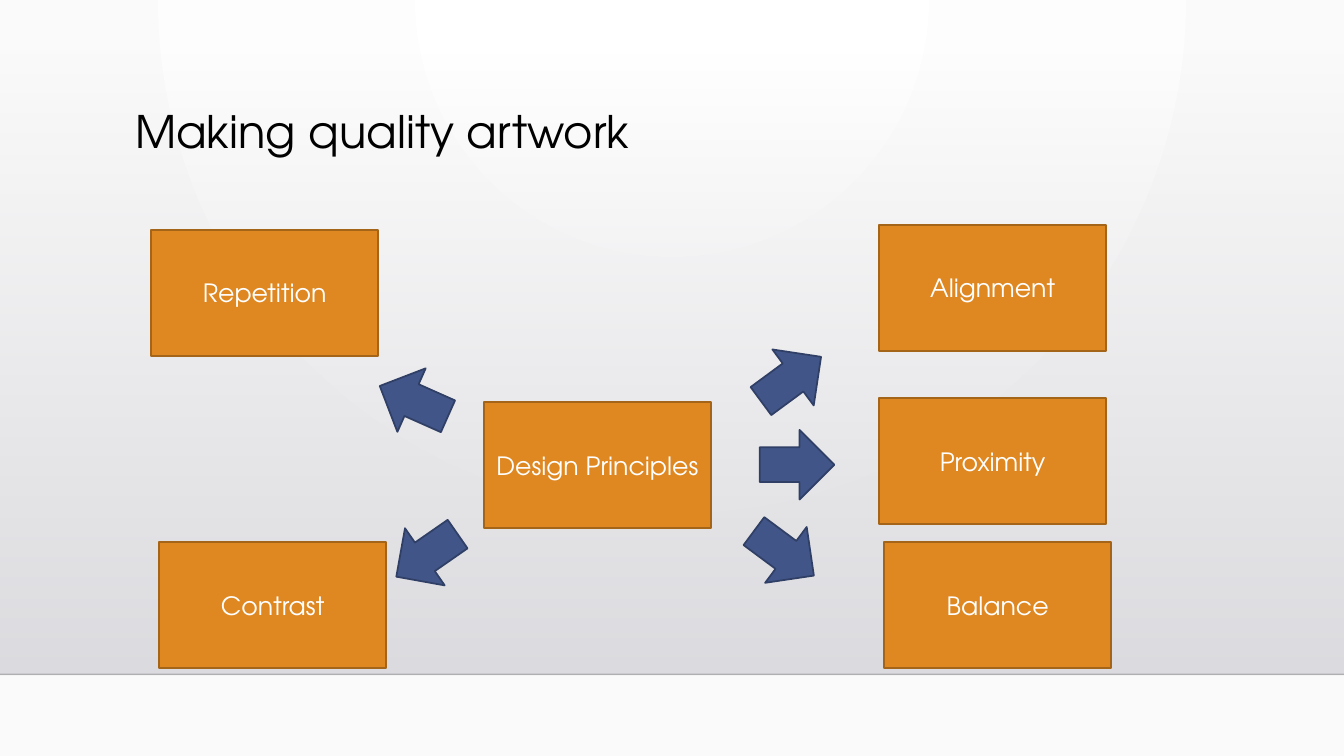
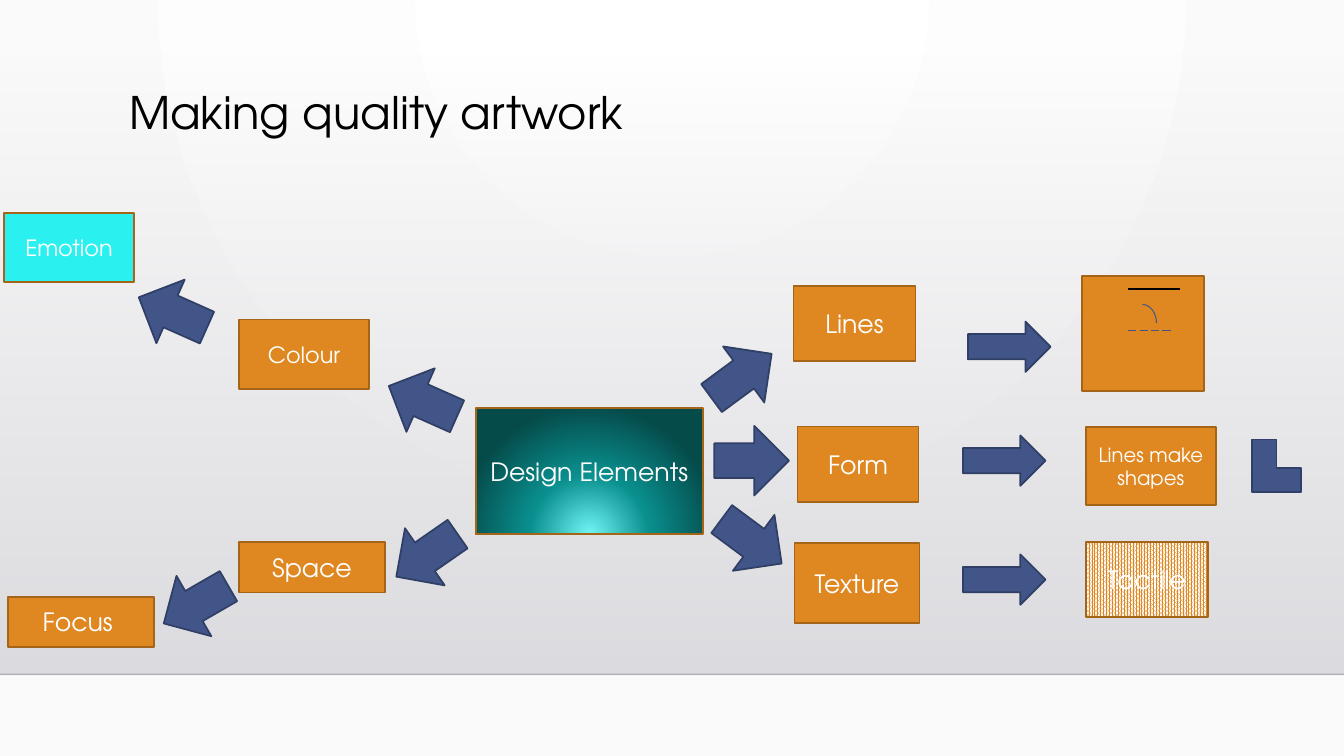
from dataclasses import dataclass

from lxml import etree
from pptx import Presentation, util as u
from pptx.dml.color import RGBColor
from pptx.enum import dml, shapes, text
from pptx.oxml.ns import qn

SHAPE = shapes.MSO_SHAPE


@dataclass(frozen=True)
class Theme:
    font: str = "TeX Gyre Adventor"
    black: str = "000000"
    white: str = "FFFFFF"
    paper: str = "FAFAFA"
    band_top: str = "DCDCE0"
    band_bottom: str = "DEDEE2"
    rule: str = "000001"
    box: str = "DF8822"
    box_edge: str = "A56519"
    arrow: str = "415588"
    arrow_edge: str = "303F65"
    emotion: str = "2AF1F0"
    glow: tuple = ((0, "71F6F5"), (46, "098F8E"), (100, "054B4A"))
    title_size: int = 32
    large: int = 18
    medium: int = 16
    small: int = 14
    edge: float = 1.25


THEME = Theme()


def rgb(value):
    return RGBColor.from_string(value)


def inches(*values):
    return [u.Inches(v) for v in values]


def write(tf, string, *, size, color, font=THEME.font, align=text.PP_ALIGN.CENTER,
          anchor=text.MSO_ANCHOR.MIDDLE, spacing=None):
    tf.word_wrap = True
    tf.auto_size = text.MSO_AUTO_SIZE.NONE
    tf.vertical_anchor = anchor
    p = tf.paragraphs[0]
    p.alignment = align
    p.line_spacing = spacing
    r = p.add_run()
    r.text = string
    r.font.name, r.font.size = font, u.Pt(size)
    r.font.color.rgb = rgb(color)


def set_alpha(color_el, percent):
    etree.SubElement(color_el, qn("a:alpha"), val=str(percent * 1000))


def set_gradient(owner, fill, stops, *, angle=None, focus=None):
    """Stops are (position, colour[, alpha]); focus is left, top, right, bottom in percent."""
    fill.solid()
    solid = owner.find(".//" + qn("a:solidFill"))
    grad = etree.Element(qn("a:gradFill"), rotWithShape="1")
    gs_list = etree.SubElement(grad, qn("a:gsLst"))
    for position, color, *alpha in stops:
        gs = etree.SubElement(gs_list, qn("a:gs"), pos=str(position * 1000))
        color_el = etree.SubElement(gs, qn("a:srgbClr"), val=color)
        if alpha:
            set_alpha(color_el, alpha[0])
    if focus:
        circle = etree.SubElement(grad, qn("a:path"), {"path": "circle"})
        sides = {k: str(v * 1000) for k, v in zip("ltrb", focus)}
        etree.SubElement(circle, qn("a:fillToRect"), sides)
    else:
        etree.SubElement(grad, qn("a:lin"), ang=str(angle * 60000), scaled="0")
    solid.getparent().replace(solid, grad)


class Deck:
    def __init__(self, theme):
        self.t = theme
        self.prs = Presentation()
        self.prs.slide_width, self.prs.slide_height = inches(13.33, 7.5)
        self.layout = self.prs.slide_layouts[5]
        master = self.prs.slide_master
        set_gradient(master.element, master.background.fill,
                     [(0, theme.white), (100, theme.paper)], focus=(43, 0, 43, 100))
        self.s = None

    def slide(self, title, left, top):
        self.s = self.prs.slides.add_slide(self.layout)
        sp = self.s.shapes.title
        sp.left, sp.top, sp.width, sp.height = inches(left, top, 10.5, 1.15)
        write(sp.text_frame, title, size=self.t.title_size, color=self.t.black,
              align=text.PP_ALIGN.LEFT, anchor=text.MSO_ANCHOR.TOP, spacing=0.9)

    def shape(self, kind, at, fill=None, edge=None, width=THEME.edge, rotation=0):
        sp = self.s.shapes.add_shape(kind, *inches(*at))
        sp.shadow.inherit = False
        sp.rotation = rotation
        if fill:
            sp.fill.solid()
            sp.fill.fore_color.rgb = rgb(fill)
        else:
            sp.fill.background()
        if edge:
            sp.line.color.rgb = rgb(edge)
            sp.line.width = u.Pt(width)
        else:
            sp.line.fill.background()
        return sp

    def box(self, at, label="", size=THEME.large, fill=THEME.box):
        sp = self.shape(SHAPE.RECTANGLE, at, fill, self.t.box_edge)
        if label:
            write(sp.text_frame, label, size=size, color=self.t.white)
        return sp

    def arrow(self, left, top, rotation, width=0.69, height=0.74):
        self.shape(SHAPE.UP_ARROW, (left, top, width, height),
                   self.t.arrow, self.t.arrow_edge, rotation=rotation)

    def line(self, x1, x2, y, color, width, dash=None):
        cn = self.s.shapes.add_connector(shapes.MSO_CONNECTOR.STRAIGHT, *inches(x1, y, x2, y))
        cn.line.color.rgb = rgb(color)
        cn.line.width = u.Pt(width)
        if dash:
            cn.line.dash_style = dash
        etree.SubElement(cn.element.spPr, qn("a:effectLst"))
        return cn

    def dress_layout(self):
        """Draw the shared band and rule, then move them from the slide to its layout."""
        band = self.shape(SHAPE.RECTANGLE, (0, 0.51, 13.33, 6.18))
        set_gradient(band.element.spPr, band.fill,
                     [(0, self.t.band_top, 0), (100, self.t.band_bottom)], angle=90)
        rule = self.line(0, 13.33, 6.69, self.t.rule, 1)
        set_alpha(rule.element.spPr.find(".//" + qn("a:srgbClr")), 20)
        for part in (band, rule):
            self.layout.shapes.element.append(part.element)


def design_principles(deck):
    deck.slide("Making quality artwork", 1.24, 1.04)
    for label, left, top in (
        ("Design Principles", 4.8, 3.99),
        ("Alignment", 8.72, 2.23),
        ("Balance", 8.77, 5.38),
        ("Repetition", 1.5, 2.28),
        ("Contrast", 1.58, 5.38),
        ("Proximity", 8.72, 3.95),
    ):
        deck.box((left, top, 2.25, 1.25), label)
    for arrow in ((3.76, 3.61, 294), (3.89, 5.14, 235.2), (7.5, 3.39, 53.6),
                  (7.43, 5.12, 126.6), (7.56, 4.24, 90)):
        deck.arrow(*arrow)


def line_samples(deck):
    t = deck.t
    deck.box((10.73, 2.74, 1.21, 1.14))
    deck.line(11.19, 11.7, 2.87, t.black, 1.75)
    deck.shape(SHAPE.ARC, (11.19, 3.02, 0.28, 0.37), edge=t.arrow, width=0.75)
    deck.line(11.19, 11.63, 3.28, t.arrow, 0.75, dml.MSO_LINE.LONG_DASH)


def design_elements(deck):
    t = deck.t
    deck.slide("Making quality artwork", 1.18, 0.85)
    hub = deck.box((4.72, 4.05, 2.25, 1.25), "Design Elements")
    set_gradient(hub.element.spPr, hub.fill, t.glow, focus=(50, 130, 50, -30))
    for label, at, size, fill in (
        ("Lines", (7.87, 2.84, 1.21, 0.74), t.large, t.box),
        ("Texture", (7.88, 5.39, 1.24, 0.79), t.large, t.box),
        ("Colour", (2.37, 3.17, 1.29, 0.69), t.medium, t.box),
        ("Space", (2.37, 5.38, 1.45, 0.5), t.large, t.box),
        ("Form", (7.91, 4.23, 1.2, 0.75), t.large, t.box),
        ("Lines make shapes", (10.77, 4.24, 1.29, 0.77), t.small, t.box),
        ("Emotion", (0.04, 2.11, 1.29, 0.69), t.medium, t.emotion),
        ("Focus ", (0.08, 5.92, 1.45, 0.5), t.large, t.box),
    ):
        deck.box(at, label, size, fill)
    tactile = deck.box((10.77, 5.38, 1.21, 0.74), "Tactile")
    tactile.fill.patterned()
    tactile.fill.pattern = dml.MSO_PATTERN.PERCENT_80
    tactile.fill.fore_color.rgb = rgb(t.box)
    tactile.fill.back_color.rgb = rgb(t.white)
    line_samples(deck)
    deck.shape(SHAPE.CORNER, (12.42, 4.36, 0.48, 0.52), t.arrow, t.arrow_edge)
    for arrow in ((3.85, 3.61, 294), (3.89, 5.14, 235.2), (7.01, 3.36, 53.6),
                  (7.11, 5, 126.6), (7.11, 4.2, 90), (1.37, 2.73, 294), (1.6, 5.63, 240)):
        deck.arrow(*arrow)
    for left, top in ((9.76, 3.03), (9.71, 4.16), (9.71, 5.34)):
        deck.arrow(left, top, 90, width=0.5, height=0.82)


def main():
    deck = Deck(THEME)
    design_principles(deck)
    design_elements(deck)
    deck.dress_layout()
    deck.prs.save("out.pptx")


if __name__ == "__main__":
    main()
